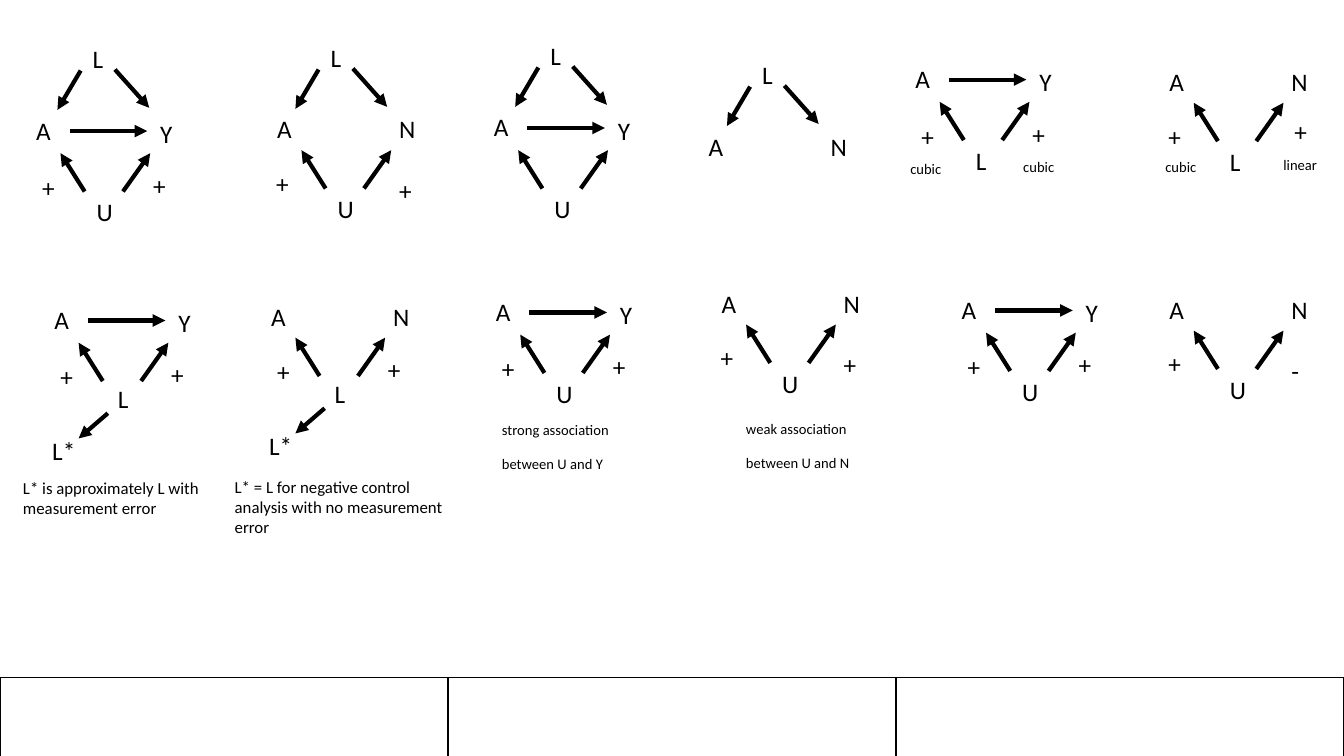
from dataclasses import dataclass

from lxml.etree import SubElement
from pptx import Presentation
from pptx.dml.color import RGBColor
from pptx.enum.shapes import MSO_CONNECTOR
from pptx.enum.text import MSO_AUTO_SIZE as AutoSize
from pptx.oxml import parse_xml
from pptx.oxml.ns import nsdecls, qn
from pptx.util import Inches, Pt

SLIDE_W, SLIDE_H = 13.33, 7.5
INK, FONT = "000000", "Calibri"

# All offsets are inches from the tip of the lower arrow into A.
SIGNS_Y = (("+", -0.28, 0.14), ("+", 0.82, 0.12))
SIGNS_N = (("+", -0.35, 0.13), ("+", 0.87, 0.20))
SIGNS_LINEAR = (("+", -0.35, 0.13), ("+", 0.90, 0.08))
SIGNS_MINUS = (("+", -0.35, 0.13), ("-", 0.87, 0.20))
CUBIC_CUBIC = (("cubic", -0.39, 0.36), ("cubic", 0.73, 0.34))
CUBIC_LINEAR = (("cubic", -0.38, 0.33), ("linear", 0.79, 0.31))


@dataclass
class Diagram:
    tip: tuple
    outcome: str
    cause: str = ""
    signs: tuple = ()
    top_cause: bool = False
    proxy: bool = False
    shapes_of_effect: tuple = ()


DIAGRAMS = [
    Diagram((0.60, 1.52), "Y", "U", SIGNS_Y, top_cause=True),
    Diagram((2.99, 1.49), "N", "U", SIGNS_N, top_cause=True),
    Diagram((5.14, 1.49), "Y", "U", top_cause=True),
    Diagram((7.27, 1.66), "N", top_cause=True),
    Diagram((9.32, 1.01), "Y", "L", SIGNS_Y, shapes_of_effect=CUBIC_CUBIC),
    Diagram((11.84, 1.02), "N", "L", SIGNS_LINEAR, shapes_of_effect=CUBIC_LINEAR),
    Diagram((0.78, 3.40), "Y", "L", SIGNS_Y, proxy=True),
    Diagram((2.93, 3.35), "N", "L", SIGNS_Y, proxy=True),
    Diagram((5.16, 3.32), "Y", "U", SIGNS_Y),
    Diagram((7.40, 3.22), "N", "U", SIGNS_N),
    Diagram((9.78, 3.30), "Y", "U", SIGNS_Y),
    Diagram((11.84, 3.28), "N", "U", SIGNS_MINUS),
]
# text, left, top, width, height, size, subscript
CAPTIONS = [
    ("L* is approximately L with measurement error", 0.13, 4.69, 2.26, 0.5, 12, False),
    ("L* = L for negative control analysis with no measurement error",
     2.23, 4.68, 2.26, 0.71, 12, False),
    ("strong association between U and Y", 4.88, 3.96, 1.57, 0.5, 18, True),
    ("weak association between U and N", 7.3, 3.95, 1.71, 0.5, 18, True),
]

LABEL_WIDTHS = {"A": 0.35, "Y": 0.32, "N": 0.36, "U": 0.36, "L": 0.31, "L*": 0.44,
                "+": 0.33, "-": 0.28, "cubic": 0.56, "linear": 0.59}
# Heights of A and of the outcome
LABEL_TOPS = {"Y": (-0.43, -0.40), "N": (-0.41, -0.41)}
OUTCOME_LEFT = {"Y": 0.89, "N": 0.87}
TOP_CAUSE = {"Y": (0.22, -1.14), "N": (0.19, -1.12)}
CAUSE_AT = {"U": (0.26, 0.38), "L": (0.26, 0.38)}
PROXY_CAUSE_AT = (0.29, 0.35)

TABLE_TOP, TABLE_ROWS, TABLE_COLS, ROW_H = 6.72, 2, 3, 2.23

prs = Presentation()
prs.slide_width, prs.slide_height = Inches(SLIDE_W), Inches(SLIDE_H)
slide = prs.slides.add_slide(prs.slide_layouts[6])


def color(hex_string):
    return RGBColor.from_string(hex_string)


def write(text, left, top, width, height, size=18, subscript=False, wrap=False):
    box = slide.shapes.add_textbox(*map(Inches, (left, top, width, height)))
    frame = box.text_frame
    frame.word_wrap = wrap
    frame.auto_size = AutoSize.SHAPE_TO_FIT_TEXT
    paragraph = frame.paragraphs[0]
    run = paragraph.add_run()
    run.text = text
    font = paragraph.font
    font.name, font.size = FONT, Pt(size)
    font.color.rgb = color(INK)
    if subscript:
        run._r.get_or_add_rPr().set("baseline", "-25000")


def draw_arrow(x1, y1, x2, y2):
    arrow = slide.shapes.add_connector(
        MSO_CONNECTOR.STRAIGHT, *map(Inches, (x1, y1, x2, y2)))
    arrow.line.color.rgb = color(INK)
    arrow.line.width = Pt(3)
    SubElement(arrow.line._get_or_add_ln(), qn("a:tailEnd"), type="triangle")
    SubElement(arrow._element.spPr, qn("a:effectLst"))


def draw_diagram(diagram):
    x, y = diagram.tip

    def label(text, dx, dy, height=0.4, subscript=False):
        write(text, x + dx, y + dy, LABEL_WIDTHS[text], height, subscript=subscript)

    def arrow(x1, y1, x2, y2):
        draw_arrow(x + x1, y + y1, x + x2, y + y2)

    exposure_top, outcome_top = LABEL_TOPS[diagram.outcome]
    label("A", -0.34, exposure_top)
    label(diagram.outcome, OUTCOME_LEFT[diagram.outcome], outcome_top)
    if diagram.outcome == "Y":
        arrow(0.09, -0.22, 0.86, -0.22)
    if diagram.cause:
        label(diagram.cause, *(PROXY_CAUSE_AT if diagram.proxy else CAUSE_AT[diagram.cause]))
        arrow(0.24, 0.38, 0, 0)
        arrow(0.62, 0.38, 0.89, 0)
    if diagram.top_cause:
        dx, dy = TOP_CAUSE[diagram.outcome]
        label("L", dx, dy)
        arrow(dx - 0.02, dy + 0.32, dx - 0.25, dy + 0.71)
        arrow(dx + 0.32, dy + 0.31, dx + 0.66, dy + 0.69)
    if diagram.proxy:
        label("L*", -0.36, 0.87)
        arrow(0.29, 0.70, 0, 0.95)
    for sign in diagram.signs:
        label(*sign)
    for effect in diagram.shapes_of_effect:
        label(*effect, height=0.3, subscript=True)


def draw_table():
    grid = slide.shapes.add_table(
        TABLE_ROWS, TABLE_COLS, 0, Inches(TABLE_TOP),
        Inches(SLIDE_W), Inches(ROW_H * TABLE_ROWS)).table
    grid.first_row = grid.horz_banding = False
    for cell in grid.iter_cells():
        properties = cell._tc.get_or_add_tcPr()
        for side in ("lnL", "lnR", "lnT", "lnB"):
            properties.append(parse_xml(
                f'<a:{side} {nsdecls("a")} w="{Pt(1)}"><a:solidFill>'
                f'<a:srgbClr val="{INK}"/></a:solidFill></a:{side}>'))
        cell.fill.background()


draw_table()
for diagram in DIAGRAMS:
    draw_diagram(diagram)
for caption in CAPTIONS:
    write(*caption, wrap=True)
prs.save("out.pptx")
